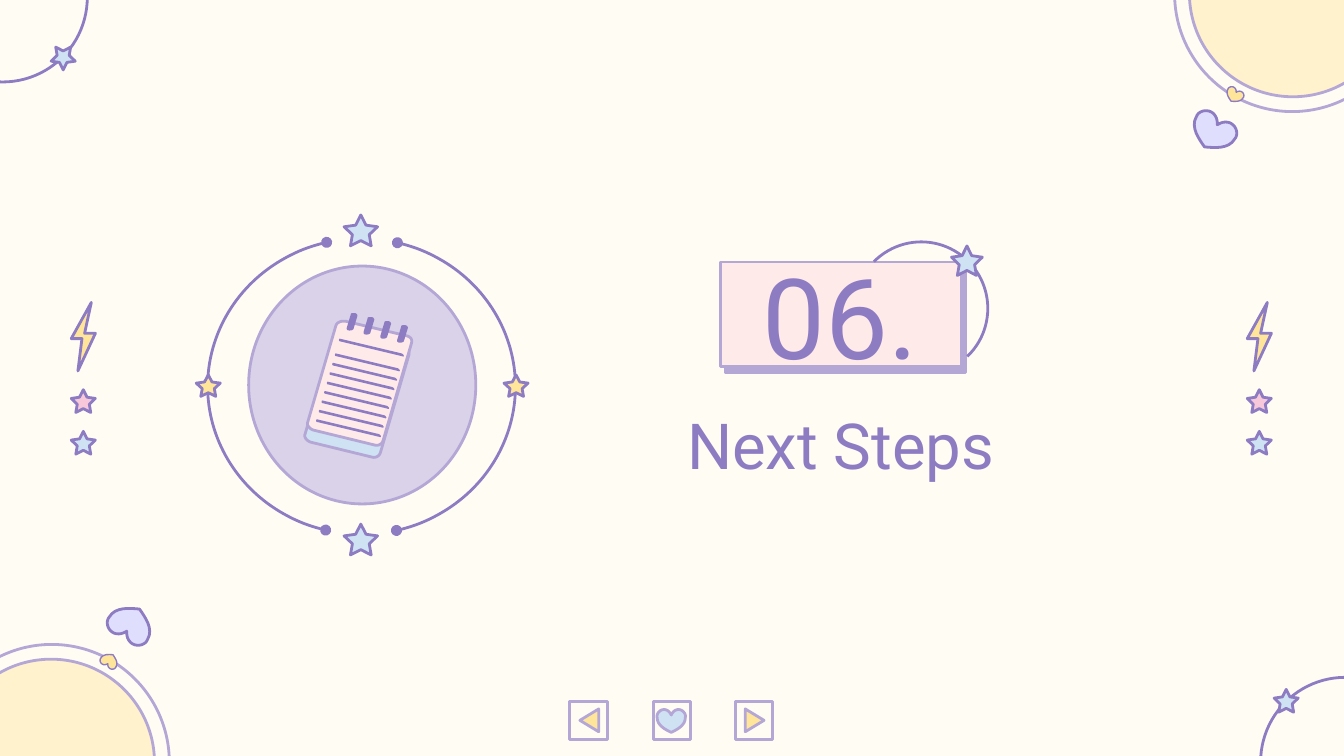
import lxml.etree
import pptx
import pptx.dml.color
import pptx.enum.shapes
import pptx.enum.text
import pptx.oxml.ns
import pptx.util
from pptx.util import Inches

WIDTH, HEIGHT = 10, 5.625
CREAM, PURPLE, LILAC = "FFFCF4", "8E7CC3", "B4A7D6"
YELLOW, BLUE, PINK, ROSE = "FFE599", "CFE2F3", "F6C8D9", "FFEAEA"
SHAPE = pptx.enum.shapes.MSO_SHAPE

# PATHS
HEART = [(0.76, 0), (0.9, 0, 1.03, 0.18, 1, 0.35), (1, 0.7, 0.7, 0.88, 0.5, 1),
         (0.3, 0.88, 0, 0.7, 0, 0.35), (-0.03, 0.18, 0.1, 0, 0.24, 0),
         (0.33, 0, 0.43, 0.06, 0.5, 0.24), (0.57, 0.06, 0.67, 0, 0.76, 0)]
BOLT = [(0.15, 0), (0, 0.27), (0.08, 0.27), (0.05, 0.51), (0.18, 0.23), (0.1, 0.23)]
PAGE = [(0.28, 0), (0.25, 0, 0.23, 0.01, 0.22, 0.03), (0.01, 0.75),
        (0, 0.77, 0.02, 0.8, 0.05, 0.81), (0.5, 0.92),
        (0.53, 0.93, 0.56, 0.92, 0.57, 0.89), (0.78, 0.17),
        (0.79, 0.14, 0.78, 0.12, 0.75, 0.11), (0.29, 0)]
PIN = [(0.05, 0), (0.04, 0, 0.03, 0, 0.03, 0.01), (0, 0.11),
       (0, 0.12, 0, 0.13, 0.02, 0.13), (0.03, 0.13, 0.04, 0.13, 0.05, 0.12),
       (0.08, 0.02), (0.08, 0.01, 0.07, 0, 0.06, 0)]
RULE = [(0.01, 0), (0, 0, 0, 0.02, 0.01, 0.02), (0.47, 0.13),
        (0.49, 0.14, 0.49, 0.12, 0.47, 0.11)]


def color(value):
    return pptx.dml.color.RGBColor.from_string(value)


def style(sp, fill=None, line=None, width=1.5):
    sp.shadow.inherit = False
    if fill:
        sp.fill.solid()
        sp.fill.fore_color.rgb = color(fill)
    else:
        sp.fill.background()
    if line:
        sp.line.color.rgb = color(line)
        sp.line.width = pptx.util.Pt(width)
    else:
        sp.line.fill.background()
    return sp


def preset(s, kind, x, y, w, h, fill=None, line=PURPLE, rotation=0):
    sp = s.shapes.add_shape(kind, Inches(x), Inches(y), Inches(w), Inches(h))
    sp.rotation = rotation
    return style(sp, fill, line)


def star(s, x, y, w, h, fill, rotation=0):
    sp = preset(s, SHAPE.STAR_5_POINT, x, y, w, h, fill, PURPLE, rotation)
    sp.adjustments[0] = 0.25


def arc(s, x, y, w, h, start, end, line=PURPLE, rotation=0, dots=False):
    sp = preset(s, SHAPE.ARC, x, y, w, h, None, line, rotation)
    sp.adjustments[0] = start * 0.6
    sp.adjustments[1] = end * 0.6
    if dots:
        ln = sp._element.spPr.find(pptx.oxml.ns.qn("a:ln"))
        for tag in ("a:headEnd", "a:tailEnd"):
            lxml.etree.SubElement(ln, pptx.oxml.ns.qn(tag), type="oval")


def flatten(outline, steps=8):
    points = [outline[0]]
    for part in outline[1:]:
        if len(part) == 2:
            points.append(part)
            continue
        x0, y0 = points[-1]
        x1, y1, x2, y2, x3, y3 = part
        for i in range(1, steps + 1):
            t = i / steps
            a, b, c, d = (1 - t) ** 3, 3 * t * (1 - t) ** 2, 3 * t * t * (1 - t), t ** 3
            points.append((a * x0 + b * x1 + c * x2 + d * x3,
                           a * y0 + b * y1 + c * y2 + d * y3))
    return points


def outline_shape(s, outline, x, y, fill, line=None, w=1, h=1, width=1.5, rotation=0):
    points = [(Inches(x + px * w), Inches(y + py * h)) for px, py in flatten(outline)]
    builder = s.shapes.build_freeform(*points[0])
    builder.add_line_segments(points[1:], close=True)
    sp = builder.convert_to_shape()
    sp.rotation = rotation
    return style(sp, fill, line, width)


def write(sp, text, size):
    tf = sp.text_frame
    tf.word_wrap = True
    tf.vertical_anchor = pptx.enum.text.MSO_ANCHOR.MIDDLE
    tf.margin_left = tf.margin_right = tf.margin_top = tf.margin_bottom = Inches(0.1)
    p = tf.paragraphs[0]
    p.text = text
    p.alignment = pptx.enum.text.PP_ALIGN.CENTER
    p.font.size = pptx.util.Pt(size)
    p.font.name = "Roboto"
    p.font.color.rgb = color(PURPLE)


def add_hard_shadow(sp, value, distance, angle):
    effects = sp._element.spPr.find(pptx.oxml.ns.qn("a:effectLst"))
    shadow = lxml.etree.SubElement(
        effects, pptx.oxml.ns.qn("a:outerShdw"), blurRad="0",
        dist=str(pptx.util.Pt(distance)), dir=str(angle * 60000),
        algn="bl", rotWithShape="0")
    lxml.etree.SubElement(shadow, pptx.oxml.ns.qn("a:srgbClr"), val=value)


def sun_corner(s, turned):
    rotation = 210 if turned else 30

    def place(x, y, w, h):
        return (WIDTH - x - w, HEIGHT - y - h, w, h) if turned else (x, y, w, h)

    preset(s, SHAPE.OVAL, *place(8.85, -0.82, 1.54, 1.54), "FFF2CC", LILAC)
    arc(s, *place(8.74, -0.92, 1.75, 1.75), 14.03, 166.36, LILAC, rotation, True)
    for box, fill, width in (((9.12, 0.66, 0.13, 0.1), YELLOW, 0.75),
                             ((8.86, 0.86, 0.33, 0.25), "DFDEFC", 1.5)):
        x, y, w, h = place(*box)
        outline_shape(s, HEART, x, y, fill, PURPLE, w, h, width, rotation)


def side_charms(s, x):
    outline_shape(s, BOLT, x, 2.25, YELLOW, PURPLE)
    star(s, x, 2.9, 0.18, 0.17, PINK)
    star(s, x, 3.21, 0.18, 0.17, BLUE)


def orbit_corner(s, x, y, star_x, star_y, rotation):
    preset(s, SHAPE.OVAL, x, y, 1.26, 1.26)
    star(s, star_x, star_y, 0.18, 0.17, BLUE, rotation)


def navigation(s):
    for x in (4.24, 5.47, 4.86):
        preset(s, SHAPE.RECTANGLE, x, 5.22, 0.28, 0.28, CREAM, LILAC)
    for x, rotation in ((4.3, 270), (5.53, 90)):
        preset(s, SHAPE.ISOSCELES_TRIANGLE, x, 5.29, 0.17, 0.14, YELLOW, LILAC, rotation)
    outline_shape(s, HEART, 4.89, 5.28, BLUE, LILAC, 0.21, 0.17)


def headings(s):
    title = s.shapes.add_textbox(Inches(4.89), Inches(2.79), Inches(2.73), Inches(1.03))
    write(title, "Next Steps", 34)
    badge = preset(s, SHAPE.RECTANGLE, 5.36, 1.95, 1.79, 0.78, ROSE, LILAC)
    add_hard_shadow(badge, LILAC, 3.8, 50)
    write(badge, "06.", 60)
    arc(s, 6.36, 1.8, 0.99, 0.99, 224.59, 46.27)
    star(s, 7.08, 1.83, 0.23, 0.22, BLUE)


def ring(s):
    preset(s, SHAPE.OVAL, 1.85, 1.98, 1.69, 1.77, "D9D2E9", LILAC)
    for rotation in (90, 270):
        arc(s, 1.59, 1.73, 2.2, 2.29, 14.03, 166.36, rotation=rotation, dots=True)
    for y in (1.6, 3.9):
        star(s, 2.56, y, 0.25, 0.23, BLUE)
    for x in (1.46, 3.75):
        star(s, x, 2.79, 0.18, 0.16, YELLOW)


def notepad(s):
    outline_shape(s, PAGE, 2.26, 2.48, BLUE, LILAC)
    outline_shape(s, PAGE, 2.28, 2.39, ROSE, LILAC)
    for i in range(4):
        outline_shape(s, PIN, 2.58 + 0.125 * i, 2.33 + 0.03 * i, PURPLE)
    rules = [(2.52, 2.52)] + [(2.49 - 0.02 * i, 2.63 + 0.07 * i) for i in range(8)]
    for x, y in rules:
        outline_shape(s, RULE, x, y, PURPLE)


def main():
    prs = pptx.Presentation()
    prs.slide_width, prs.slide_height = Inches(WIDTH), Inches(HEIGHT)
    s = prs.slides.add_slide(prs.slide_layouts[6])
    s.background.fill.solid()
    s.background.fill.fore_color.rgb = color(CREAM)
    sun_corner(s, False)
    for x in (0.53, 9.28):
        side_charms(s, x)
    orbit_corner(s, 9.38, 5.04, 9.48, 5.13, 0)
    sun_corner(s, True)
    orbit_corner(s, -0.61, -0.65, 0.38, 0.35, 180)
    headings(s)
    navigation(s)
    ring(s)
    notepad(s)
    prs.save("out.pptx")


if __name__ == "__main__":
    main()
